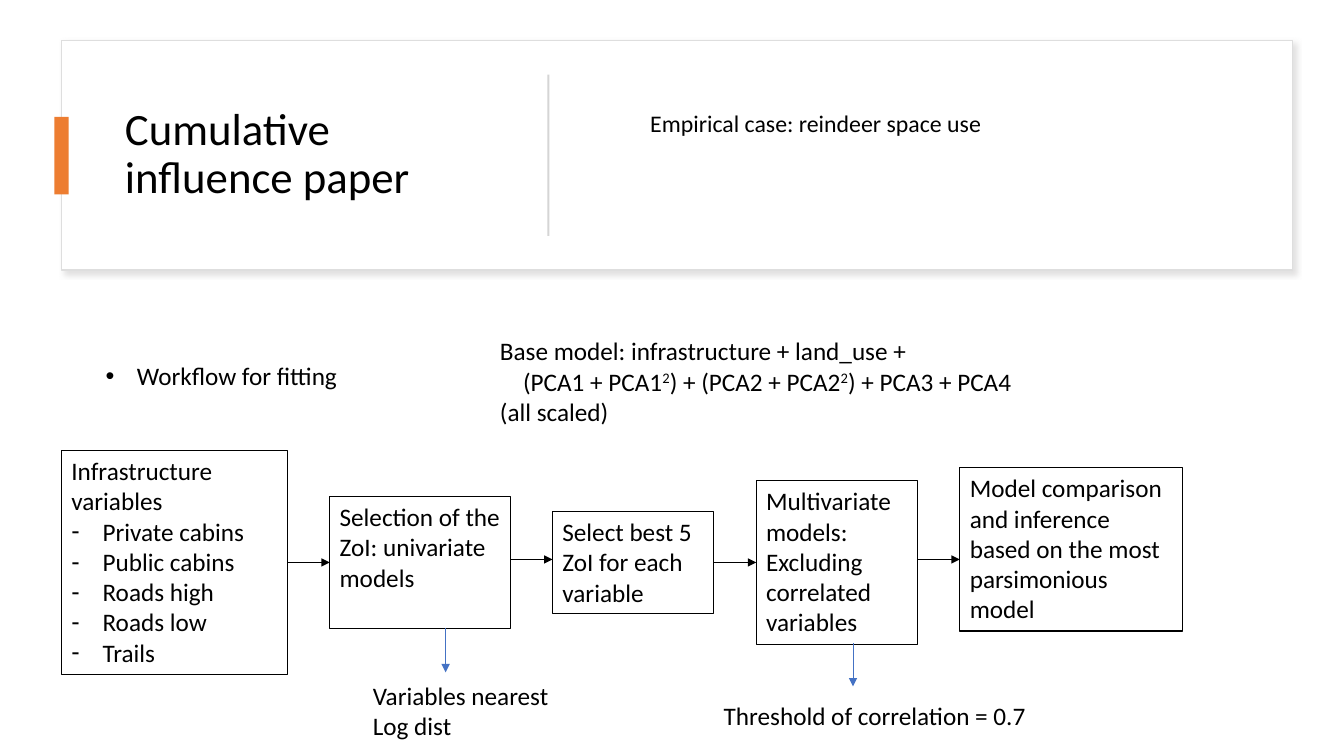
"""Build the slide on the workflow of the cumulative influence paper."""
from lxml import etree
from pptx import Presentation, util as u
from pptx.dml.color import RGBColor
from pptx.enum import shapes, text
from pptx.oxml.ns import qn

BLACK = RGBColor(0, 0, 0)
WHITE = RGBColor(0xFF, 0xFF, 0xFF)
FRAME = RGBColor(0xDE, 0xDE, 0xDE)
RULE = RGBColor(0xD5, 0xD5, 0xD5)
ORANGE = RGBColor(0xED, 0x7D, 0x31)
BLUE = RGBColor(0x44, 0x72, 0xC4)

deck = Presentation()
deck.slide_width, deck.slide_height = u.Inches(13.33), u.Inches(7.5)
slide = deck.slides.add_slide(deck.slide_layouts[6])
cell = deck.slide_width / 13.33


def block(spot, fill=None, line=None, width=0.75):
    """Add a rectangle placed in grid cells."""
    rect = slide.shapes.add_shape(
        shapes.MSO_SHAPE.RECTANGLE, *[round(n * cell) for n in spot])
    rect.shadow.inherit = False
    if fill is None:
        rect.fill.background()
    else:
        rect.fill.solid()
        rect.fill.fore_color.rgb = fill
    if line is None:
        rect.line.fill.background()
    else:
        rect.line.color.rgb = line
        rect.line.width = u.Pt(width)
    return rect


def write(shape, lines, size=18, wrap=True, lead=1.0, anchor=text.MSO_ANCHOR.TOP):
    """Write (mark, indent, words) lines; each ^ raises the next sign."""
    frame = shape.text_frame
    frame.word_wrap = wrap
    frame.vertical_anchor = anchor
    for i, (mark, indent, words) in enumerate(lines):
        para = frame.paragraphs[0] if i == 0 else frame.add_paragraph()
        para.alignment = text.PP_ALIGN.LEFT
        para.line_spacing = lead
        props = para._p.get_or_add_pPr()
        props.set("marL", str(round(indent * cell)))
        if mark:
            props.set("indent", str(-round(indent * cell)))
            etree.SubElement(props, qn("a:buFont")).set("typeface", "Arial")
            etree.SubElement(props, qn("a:buChar")).set("char", mark)
        para.font.name = "Calibri"
        para.font.size = u.Pt(size)
        para.font.color.rgb = BLACK
        head, *rest = words.split("^")
        para.add_run().text = head
        for part in rest:
            power = para.add_run()
            power.text = part[0]
            power._r.get_or_add_rPr().set("baseline", "30000")
            para.add_run().text = part[1:]


card = block((0.61, 0.4, 12.21, 2.28), WHITE, FRAME, 1)
glow = etree.SubElement(
    card._element.spPr.find(qn("a:effectLst")), qn("a:outerShdw"),
    blurRad=str(u.Pt(4)), dist=str(u.Pt(3)), dir="2700000", algn="tl", rotWithShape="0")
tint = etree.SubElement(glow, qn("a:srgbClr"), val="C5C3C3")
etree.SubElement(tint, qn("a:alpha"), val="50000")
block((0.54, 1.16, 0.14, 0.77), ORANGE)
block((5.43, 0.74, 0.02, 1.6), RULE)

labels = [
    ((1.14, 0.64, 3.89, 1.8), [("", 0, "Cumulative influence paper")],
     dict(size=32, lead=0.9, anchor=text.MSO_ANCHOR.MIDDLE)),
    ((5.85, 1.04, 6.56, 0.4), [("", 0.5, "Empirical case: reindeer space use")],
     dict(size=17, lead=0.9, anchor=text.MSO_ANCHOR.MIDDLE)),
    ((0.95, 3.53, 3.8, 0.71), [("•", 0.31, "Workflow for fitting")], {}),
    ((4.86, 3.28, 6.71, 1.01),
     [("", 0, "Base model: infrastructure + land_use +"),
      ("", 0.23, "(PCA1 + PCA1^2) + (PCA2 + PCA2^2) + PCA3 + PCA4"),
      ("", 0, "(all scaled)")], {}),
    ((3.6, 6.7, 1.96, 0.71),
     [("", 0, "Variables nearest"), ("", 0, "Log dist")], dict(wrap=False)),
    ((7.08, 6.9, 3.23, 0.4),
     [("", 0, "Threshold of correlation = 0.7")], dict(wrap=False)),
]
for spot, lines, style in labels:
    write(slide.shapes.add_textbox(*[round(n * cell) for n in spot]), lines, **style)

kinds = ["Private cabins", "Public cabins", "Roads high", "Roads low", "Trails"]
steps = [
    (2.24, 2.22, 5.58, [("", 0, "Infrastructure variables")]
     + [("-", 0.31, kind) for kind in kinds]),
    (1.79, 1.31, 5.58, [("", 0, "Selection of the ZoI: univariate models")]),
    (1.6, 1.01, 5.58, [("", 0, "Select best 5 ZoI for each variable")]),
    (1.6, 1.62, 5.58, [("", 0, "Multivariate models:"),
                       ("", 0, "Excluding correlated variables")]),
    (2.21, 1.62, 5.45, [("", 0, "Model comparison and inference based on "
                               "the most parsimonious model")]),
]
GAP = 0.42
left = 0.61
boxes, arrows = [], []
for i, (wide, high, mid, lines) in enumerate(steps):
    step = block((left, mid - high / 2, wide, high), line=BLACK)
    write(step, lines)
    boxes.append(step)
    left += wide + GAP
    if i < len(steps) - 1:
        y = 5.55 if i % 2 else 5.58
        arrows.append((left - GAP, y, left, y, BLACK))
arrows += [(4.42, 6.23, 4.42, 6.67, BLUE), (8.46, 6.38, 8.46, 6.81, BLUE)]

for i, (*ends, hue) in enumerate(arrows):
    arrow = slide.shapes.add_connector(
        shapes.MSO_CONNECTOR.STRAIGHT, *[round(n * cell) for n in ends])
    if i in (0, 2):
        arrow.begin_connect(boxes[i], 3)
        arrow.end_connect(boxes[i + 1], 1)
    arrow.line.color.rgb = hue
    arrow.line.width = u.Pt(0.5)
    etree.SubElement(arrow.line._get_or_add_ln(), qn("a:tailEnd"), type="triangle")
    etree.SubElement(arrow._element.spPr, qn("a:effectLst"))

deck.save("out.pptx")
